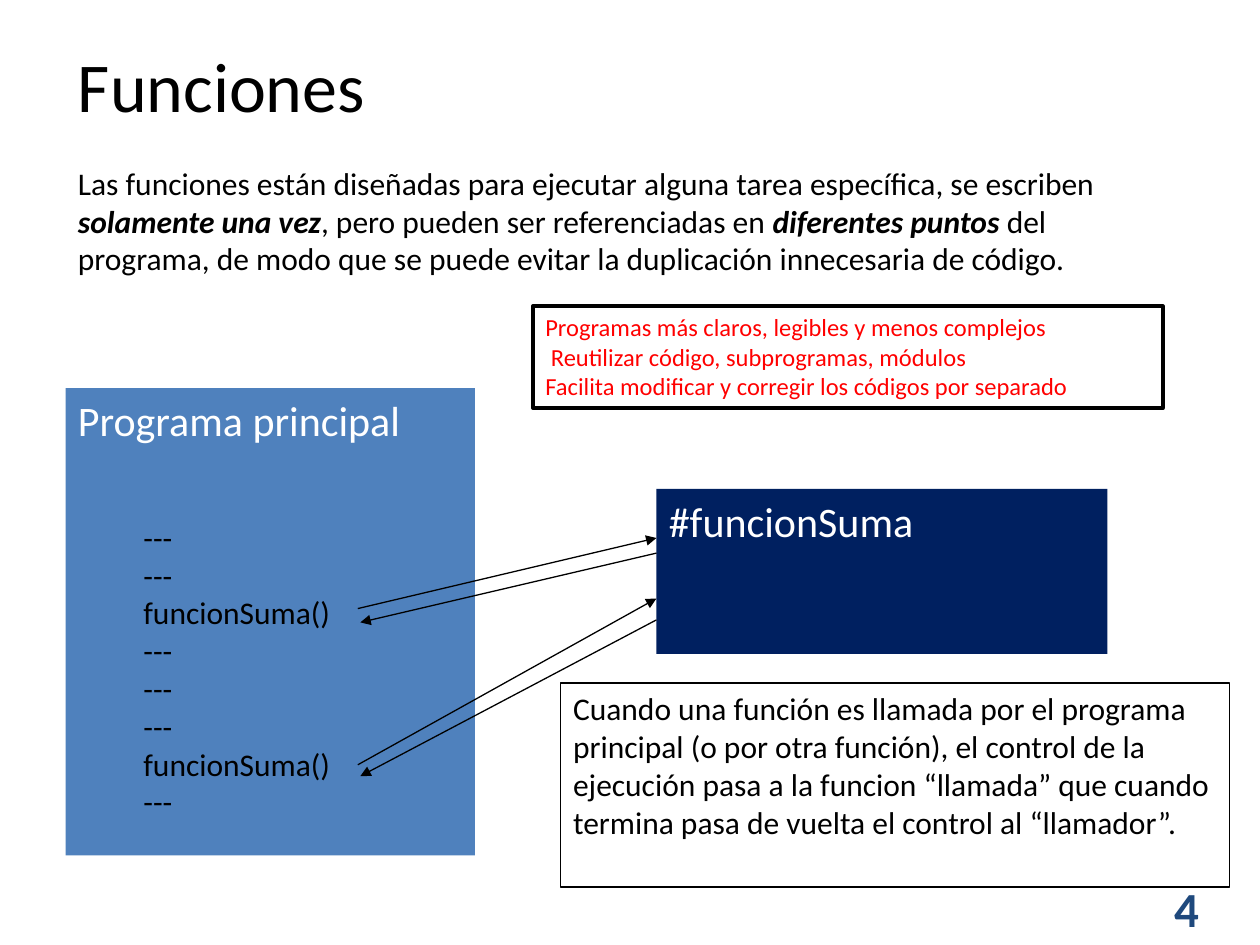
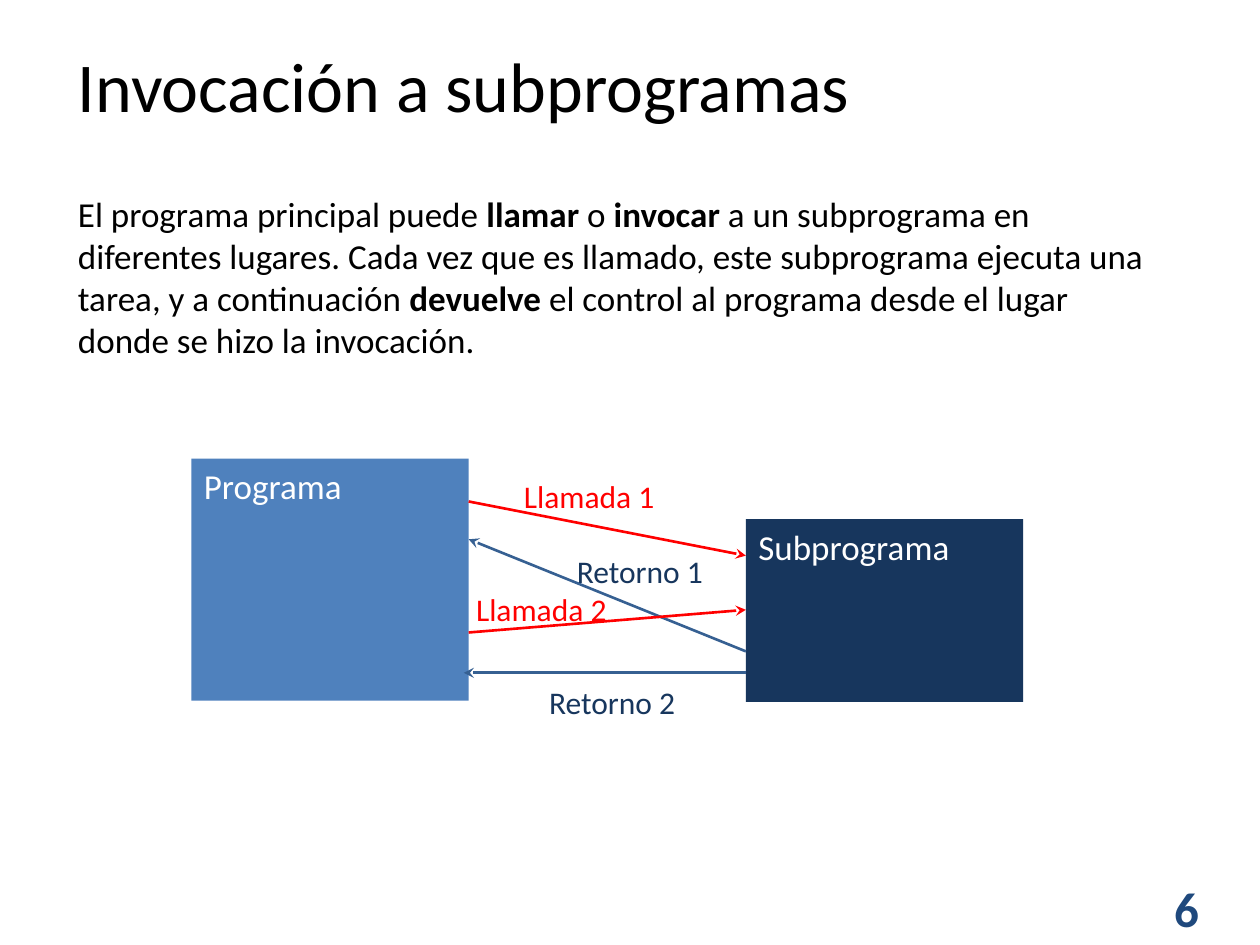
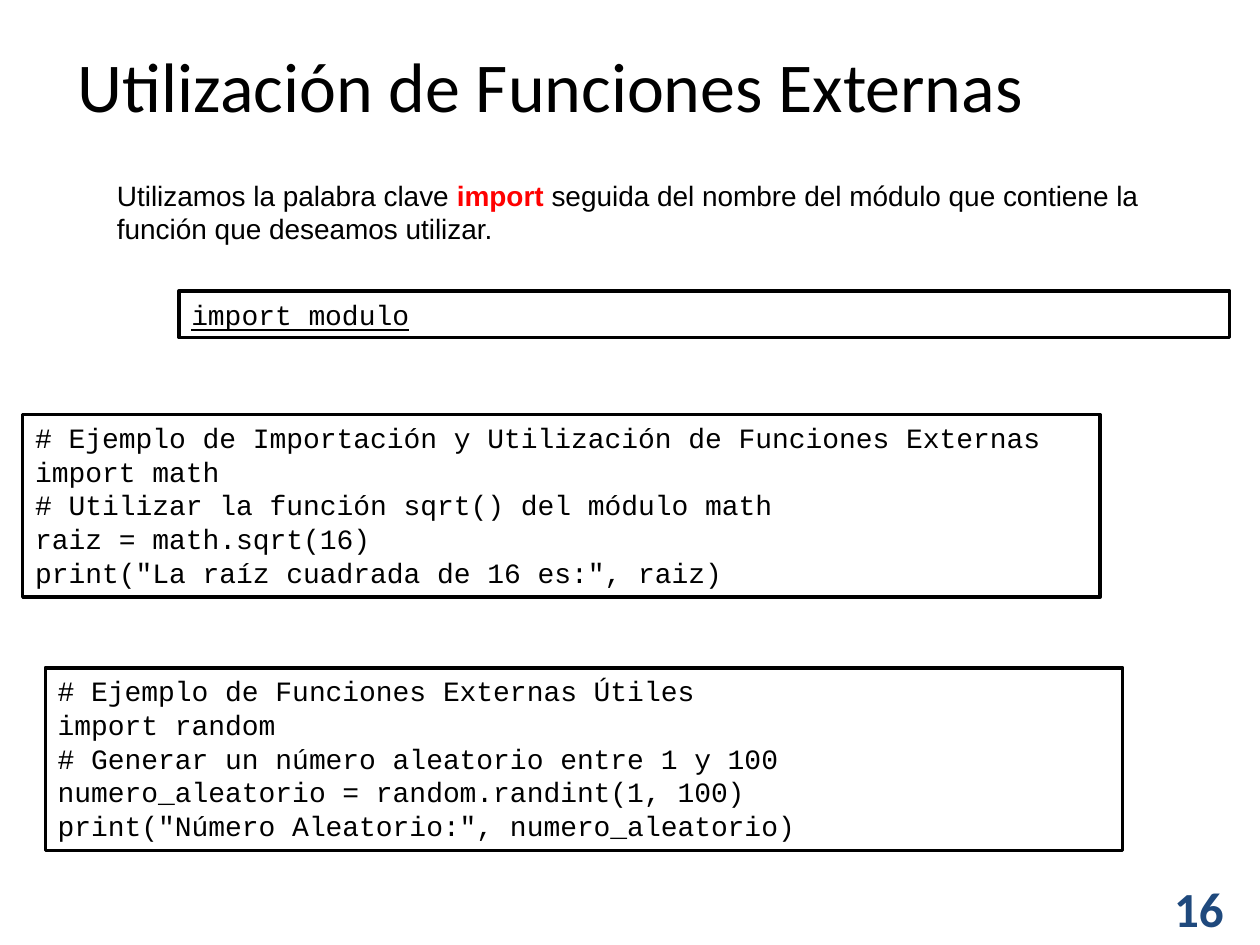
from lxml import etree
from pptx import Presentation
from pptx import util as u
from pptx.dml.color import RGBColor
from pptx.enum import shapes, text
from pptx.oxml import ns

BLACK = RGBColor(0x00, 0x00, 0x00)
WHITE = RGBColor(0xFF, 0xFF, 0xFF)
RED = RGBColor(0xFF, 0x00, 0x00)
BLUE = RGBColor(0x4F, 0x81, 0xBD)
NAVY = RGBColor(0x00, 0x20, 0x60)
DEEP = RGBColor(0x17, 0x36, 0x5D)
STEEL = RGBColor(0x36, 0x60, 0x92)
PAGE = RGBColor(0x1F, 0x49, 0x7D)

SANS, BODY, CODE = "Calibri", "Arial", "Courier New"
WIDTH, HEIGHT = 10, 7.5
LEFT = 0.52

# Content: a paragraph is a string or a list of (text, style) runs;
# style letters are b bold, i italic, u underlined, r red
FUNCTIONS = [[
    ("Las funciones están diseñadas para ejecutar alguna tarea específica, se escriben ", ""),
    ("solamente una vez", "bi"),
    (", pero pueden ser referenciadas en ", ""),
    ("diferentes puntos", "bi"),
    (" del programa, de modo que se puede evitar la duplicación innecesaria de código.", ""),
]]
MAIN_STEPS = ["---", "---", "funcionSuma()", "---", "---", "---", "funcionSuma()", "---"]
BENEFITS = [
    "Programas más claros, legibles y menos complejos",
    " Reutilizar código, subprogramas, módulos",
    "Facilita modificar y corregir los códigos por separado",
]
CONTROL = ["Cuando una función es llamada por el programa principal (o por otra función), "
           "el control de la ejecución pasa a la funcion “llamada” que cuando termina pasa "
           "de vuelta el control al “llamador”."]
INVOCATION = [[
    ("El programa principal puede ", ""),
    ("llamar", "b"),
    (" o ", ""),
    ("invocar", "b"),
    (" a un subprograma en diferentes lugares. Cada vez que es llamado, este subprograma "
     "ejecuta una tarea, y a continuación ", ""),
    ("devuelve", "b"),
    (" el control al programa desde el lugar donde se hizo la invocación.", ""),
]]
IMPORT_RULE = [[
    ("Utilizamos la palabra clave ", ""),
    ("import", "br"),
    (" seguida del nombre del módulo que contiene la función que deseamos utilizar.", ""),
]]
IMPORT_SYNTAX = [[("import modulo", "u")]]
MATH_EXAMPLE = [
    "# Ejemplo de Importación y Utilización de Funciones Externas",
    "import math",
    "# Utilizar la función sqrt() del módulo math",
    "raiz = math.sqrt(16)",
    'print("La raíz cuadrada de 16 es:", raiz)',
]
RANDOM_EXAMPLE = [
    "# Ejemplo de Funciones Externas Útiles",
    "import random",
    "# Generar un número aleatorio entre 1 y 100",
    "numero_aleatorio = random.randint(1, 100)",
    'print("Número Aleatorio:", numero_aleatorio)',
]

# Heights (program side, function side) of each call and its return
CALLS = [((4.83, 4.27), (4.94, 4.39)), ((6.07, 4.75), (6.16, 4.92))]

# Start, end, line colour, label, label colour, label place and width
EXCHANGES = [
    ((3.72, 3.98), (5.92, 4.41), RED, "Llamada 1", RED, (4.06, 3.74, 1.25)),
    ((5.92, 5.17), (3.72, 4.28), STEEL, "Retorno 1", DEEP, (4.48, 4.33, 1.21)),
    ((3.72, 5.02), (5.92, 4.84), RED, "Llamada 2", RED, (3.68, 4.63, 1.25)),
    ((5.92, 5.34), (3.68, 5.34), STEEL, "Retorno 2", DEEP, (4.26, 5.37, 1.21)),
]


# Helpers
def write(sp, paragraphs, size, color, font, bold=False):
    tf = sp.text_frame
    tf.word_wrap = True
    tf.vertical_anchor = text.MSO_ANCHOR.TOP
    for i, runs in enumerate(paragraphs):
        p = tf.paragraphs[0] if i == 0 else tf.add_paragraph()
        p.alignment = text.PP_ALIGN.LEFT
        for words, style in [(runs, "")] if isinstance(runs, str) else runs:
            r = p.add_run()
            r.text = words
            r.font.name, r.font.size = font, u.Pt(size)
            r.font.bold = bold or "b" in style
            r.font.italic = "i" in style
            r.font.underline = "u" in style
            r.font.color.rgb = RED if "r" in style else color


def label(s, at, paragraphs, size, color=BLACK, font=SANS, bold=False):
    sp = s.shapes.add_textbox(*map(u.Inches, at))
    write(sp, paragraphs, size, color, font, bold)
    return sp


def box(s, at, paragraphs, size, color=BLACK, font=SANS, fill=None, line=0):
    sp = s.shapes.add_shape(shapes.MSO_SHAPE.RECTANGLE, *map(u.Inches, at))
    sp.shadow.inherit = False
    if fill is None:
        sp.fill.background()
    else:
        sp.fill.solid()
        sp.fill.fore_color.rgb = fill
    if line:
        sp.line.color.rgb = BLACK
        sp.line.width = u.Pt(line)
    else:
        sp.line.fill.background()
    write(sp, paragraphs, size, color, font)


def arrow(s, start, end, color, width, head):
    sp = s.shapes.add_connector(shapes.MSO_CONNECTOR.STRAIGHT, *map(u.Inches, start + end))
    sp.line.color.rgb = color
    sp.line.width = u.Pt(width)
    etree.SubElement(sp.line._get_or_add_ln(), ns.qn("a:tailEnd"), type=head)
    etree.SubElement(sp._element.spPr, ns.qn("a:effectLst"))


def new_slide(prs, title, number):
    s = prs.slides.add_slide(prs.slide_layouts[6])
    label(s, (9.22, 6.92, 0.71, 0.57), [number], 28, PAGE, bold=True)
    label(s, (LEFT, 0.29, 9.23, 0.77), [title], 40)
    return s


# Slides
def functions_slide(prs):
    s = new_slide(prs, "Funciones", "4")
    label(s, (LEFT, 1.25, 8.69, 1.31), FUNCTIONS, 18)
    box(s, (LEFT, 3.08, 3.25, 3.71), ["Programa principal"], 24, WHITE, fill=BLUE)
    label(s, (2 * LEFT, 4.06, 1.8, 2.52), MAIN_STEPS, 18)
    box(s, (5.21, 3.88, 3.58, 1.31), ["#funcionSuma"], 24, WHITE, fill=NAVY)
    for (call_from, call_to), (back_to, back_from) in CALLS:
        arrow(s, (2.84, call_from), (5.21, call_to), BLACK, 0.75, "triangle")
        arrow(s, (5.21, back_from), (2.86, back_to), BLACK, 0.75, "triangle")
    box(s, (4.45, 5.42, 5.31, 1.62), CONTROL, 18, line=0.75)
    box(s, (4.23, 2.43, 5, 0.81), BENEFITS, 14, RED, fill=WHITE, line=2)


def invocation_slide(prs):
    s = new_slide(prs, "Invocación a subprogramas", "6")
    label(s, (LEFT, 1.48, 8.69, 1.45), INVOCATION, 20)
    box(s, (1.52, 3.64, 2.2, 1.92), ["Programa"], 20, WHITE, fill=BLUE)
    box(s, (5.92, 4.12, 2.2, 1.45), ["Subprograma"], 20, WHITE, fill=DEEP)
    for start, end, color, name, name_color, place in EXCHANGES:
        arrow(s, start, end, color, 1.5, "stealth")
        label(s, place + (0.4,), [name], 18, name_color)


def externals_slide(prs):
    s = new_slide(prs, "Utilización de Funciones Externas", "16")
    sp = label(s, (0.83, 1.36, 8.98, 0.64), IMPORT_RULE, 16, font=BODY)
    sp.text_frame.vertical_anchor = text.MSO_ANCHOR.MIDDLE
    for at, code in [((1.42, 2.31, 8.34, 0.37), IMPORT_SYNTAX),
                     ((0.18, 3.29, 8.55, 1.45), MATH_EXAMPLE),
                     ((0.36, 5.3, 8.55, 1.45), RANDOM_EXAMPLE)]:
        box(s, at, code, 16, font=CODE, fill=WHITE, line=2)


def main():
    prs = Presentation()
    prs.slide_width, prs.slide_height = u.Inches(WIDTH), u.Inches(HEIGHT)
    functions_slide(prs)
    invocation_slide(prs)
    externals_slide(prs)
    prs.save("out.pptx")


if __name__ == "__main__":
    main()
